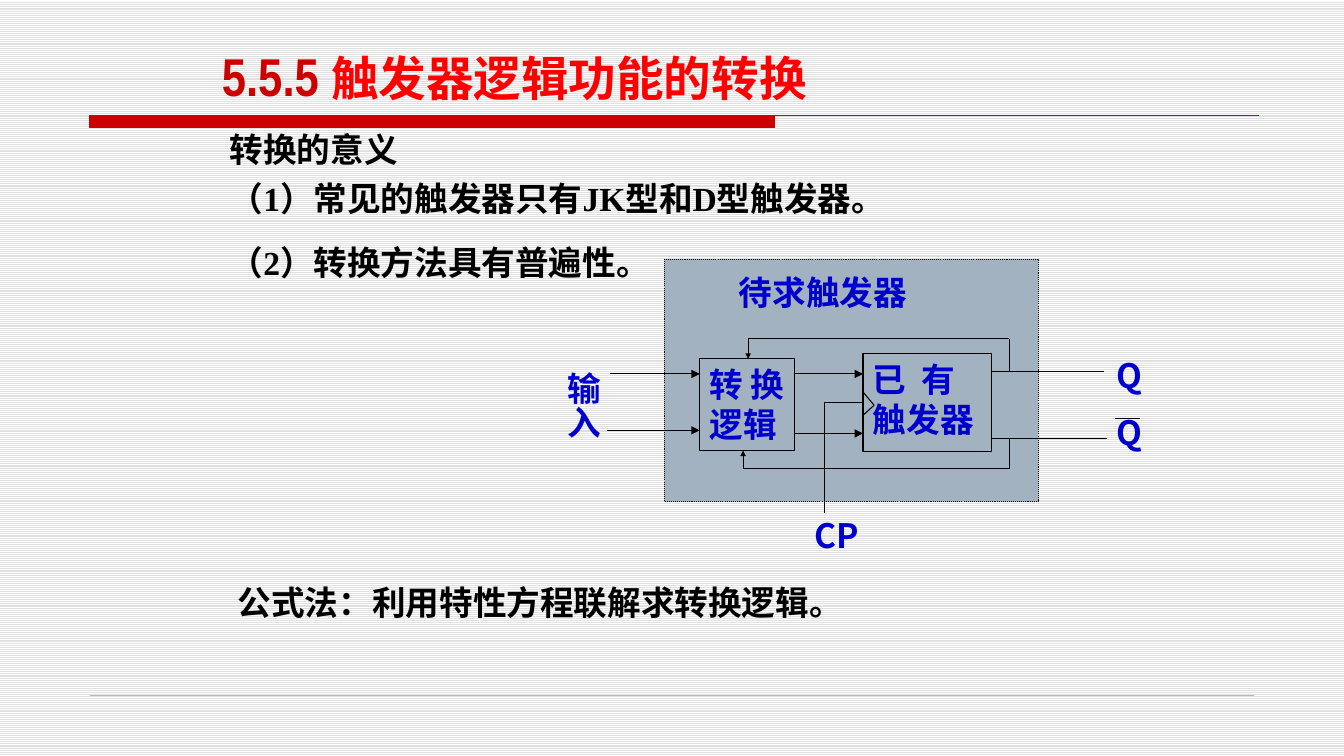
from itertools import pairwise

from lxml.etree import SubElement
from pptx import Presentation
from pptx.dml.color import RGBColor
from pptx.enum.dml import MSO_LINE, MSO_PATTERN
from pptx.enum.shapes import MSO_CONNECTOR, MSO_SHAPE
from pptx.enum.text import MSO_ANCHOR, PP_ALIGN
from pptx.oxml.ns import qn
from pptx.util import Inches, Pt

RED = RGBColor(0xCC, 0x00, 0x00)
BRIGHT_RED = RGBColor(0xFF, 0x00, 0x00)
BLUE = RGBColor(0x00, 0x00, 0xCC)
BLACK = RGBColor(0x00, 0x00, 0x00)
WHITE = RGBColor(0xFF, 0xFF, 0xFF)
STRIPE = RGBColor(0xE0, 0xE0, 0xE0)
GREY = RGBColor(0xB8, 0xB8, 0xB8)
PANEL = RGBColor(0xA3, 0xB2, 0xC1)
CHINESE = "Noto Sans CJK SC"
SERIF = "Times New Roman"
NARROW = "Arial Narrow"


def format_span(span, name, size, color):
    span.font.name = name
    span.font.size = Pt(size)
    span.font.bold = True
    span.font.color.rgb = color
    SubElement(span.font._element, qn("a:ea"), typeface=CHINESE)


def write_lines(frame, lines, name=CHINESE, color=BLUE, align=PP_ALIGN.LEFT, gap=0):
    frame.word_wrap = True
    frame.vertical_anchor = MSO_ANCHOR.TOP
    frame.text = "\n".join(lines)
    for index, para in enumerate(frame.paragraphs):
        para.alignment = align
        if index and gap:
            para.space_before = Pt(gap)
        for span in para.runs:
            format_span(span, name, 24, color)


def add_text(page, box, lines, **style):
    label = page.shapes.add_textbox(*map(Inches, box))
    write_lines(label.text_frame, lines, **style)
    return label.text_frame


def add_block(page, box, fill=None):
    block = page.shapes.add_shape(MSO_SHAPE.RECTANGLE, *map(Inches, box))
    block.shadow.inherit = False
    if fill is None:
        block.fill.background()
    else:
        block.fill.solid()
        block.fill.fore_color.rgb = fill
    block.line.color.rgb = BLACK
    block.line.width = Pt(0.75)
    return block


def add_wire(page, start, end, color=BLACK, width=0.75, arrow=None):
    wire = page.shapes.add_connector(MSO_CONNECTOR.STRAIGHT, *map(Inches, (*start, *end)))
    wire.line.color.rgb = color
    wire.line.width = Pt(width)
    if arrow:
        SubElement(wire.line._get_or_add_ln(), qn("a:tailEnd"), type="triangle", w=arrow, len=arrow)
    SubElement(wire._element.spPr, qn("a:effectLst"))


def add_title(page, box):
    title = page.shapes.title
    title.left, title.top, title.width, title.height = map(Inches, box)
    frame = title.text_frame
    frame.word_wrap = True
    frame.vertical_anchor = MSO_ANCHOR.BOTTOM
    para = frame.paragraphs[0]
    para.alignment = PP_ALIGN.LEFT
    for text, size, color in (("5.5.5 ", 38, RED), ("触发器逻辑功能的转换", 34, BRIGHT_RED)):
        span = para.add_run()
        span.text = text.strip() if color == BRIGHT_RED else text
        format_span(span, NARROW, size, color)


def add_rules(page, box):
    left, top, width, height = box
    bar = add_block(page, (left, top, 6.79, 0.12), RED)
    bar.line.color.rgb = RED
    add_wire(page, (left, top), (left + width, top), RED)
    add_wire(page, (left, top + height), (left + 11.55, top + height), GREY, 0.25)


def add_meaning(page, box):
    frame = add_text(
        page, box,
        ["转换的意义", "（1）常见的触发器只有JK型和D型触发器。", "（2）转换方法具有普遍性。"],
        name=SERIF, color=BLACK, align=PP_ALIGN.JUSTIFY, gap=12,
    )
    for para in frame.paragraphs:
        para.line_spacing = 0.8
    last = frame.paragraphs[-1]
    last.space_before = Pt(16)
    tail = last.add_run()
    tail.text = " "
    format_span(tail, SERIF, 32, BLACK)


def add_diagram(page, box):
    left, top, width, height = box

    def place(x, y):
        return left + x, top + y

    def wire_path(points, arrow=None):
        segments = list(pairwise(points))
        for index, (start, end) in enumerate(segments):
            head = arrow if index == len(segments) - 1 else None
            add_wire(page, place(*start), place(*end), arrow=head)

    panel = add_block(page, box, PANEL)
    panel.line.dash_style = MSO_LINE.ROUND_DOT

    logic = add_block(page, (*place(0.35, 0.99), 0.94, 0.91))
    write_lines(logic.text_frame, ["转换逻辑"], align=PP_ALIGN.JUSTIFY)
    existing = add_block(page, (*place(1.97, 0.94), 1.27, 0.97))
    write_lines(existing.text_frame, ["已 有", "触发器"], align=PP_ALIGN.JUSTIFY)
    existing.text_frame.paragraphs[0].runs[0].font._element.set("spc", "270")

    for start, end, y in ((-0.54, 0.35, 1.14), (-0.57, 0.35, 1.7), (1.29, 1.97, 1.14), (1.29, 1.97, 1.73)):
        wire_path([(start, y), (end, y)], "med")
    for end, y in ((4.36, 1.12), (4.39, 1.78)):
        wire_path([(3.25, y), (end, y)])
    for output, rail, drop, target in ((1.12, 0.79, 0.83, 0.99), (1.78, 2.08, 0.78, 1.9)):
        wire_path([(3.42, output), (3.42, rail), (drop, rail), (drop, target)], "sm")
    wire_path([(1.97, 1.42), (1.59, 1.42), (1.59, 2.52)])
    wire_path([(1.97, 1.32), (2.08, 1.45), (1.97, 1.55)])
    wire_path([(4.47, 1.58), (4.72, 1.58)])

    entry = add_text(page, (*place(-1.03, 1.12), 0.42, 0.88), ["输入"], align=PP_ALIGN.JUSTIFY)
    entry.margin_left = entry.margin_right = entry.margin_top = entry.margin_bottom = 0
    entry._txBody.bodyPr.set("vert", "eaVert")
    add_text(page, (*place(4.39, 0.9), 0.42, 1.11), ["Q", "Q"], gap=12)
    add_text(page, (*place(1.39, 2.49), 0.92, 0.5), ["CP"])
    add_text(page, (*place(0.64, 0.08), 2.58, 0.5), ["待求触发器"])


def build_slide(deck):
    page = deck.slides.add_slide(deck.slide_layouts[5])
    fill = page.background.fill
    fill.patterned()
    fill.pattern = MSO_PATTERN.LIGHT_HORIZONTAL
    fill.fore_color.rgb = STRIPE
    fill.back_color.rgb = WHITE
    add_rules(page, (0.89, 1.15, 11.6, 5.75))
    add_title(page, (2.1, 0.28, 8.75, 0.83))
    add_meaning(page, (2.18, 1.31, 7.56, 1.63))
    add_diagram(page, (6.59, 2.57, 3.71, 2.41))
    add_text(page, (2.26, 5.72, 6.85, 0.5), ["公式法：利用特性方程联解求转换逻辑。"], name=NARROW, color=BLACK)


def main():
    deck = Presentation()
    deck.slide_width = Inches(13.33)
    deck.slide_height = Inches(7.5)
    build_slide(deck)
    deck.save("out.pptx")


if __name__ == "__main__":
    main()
